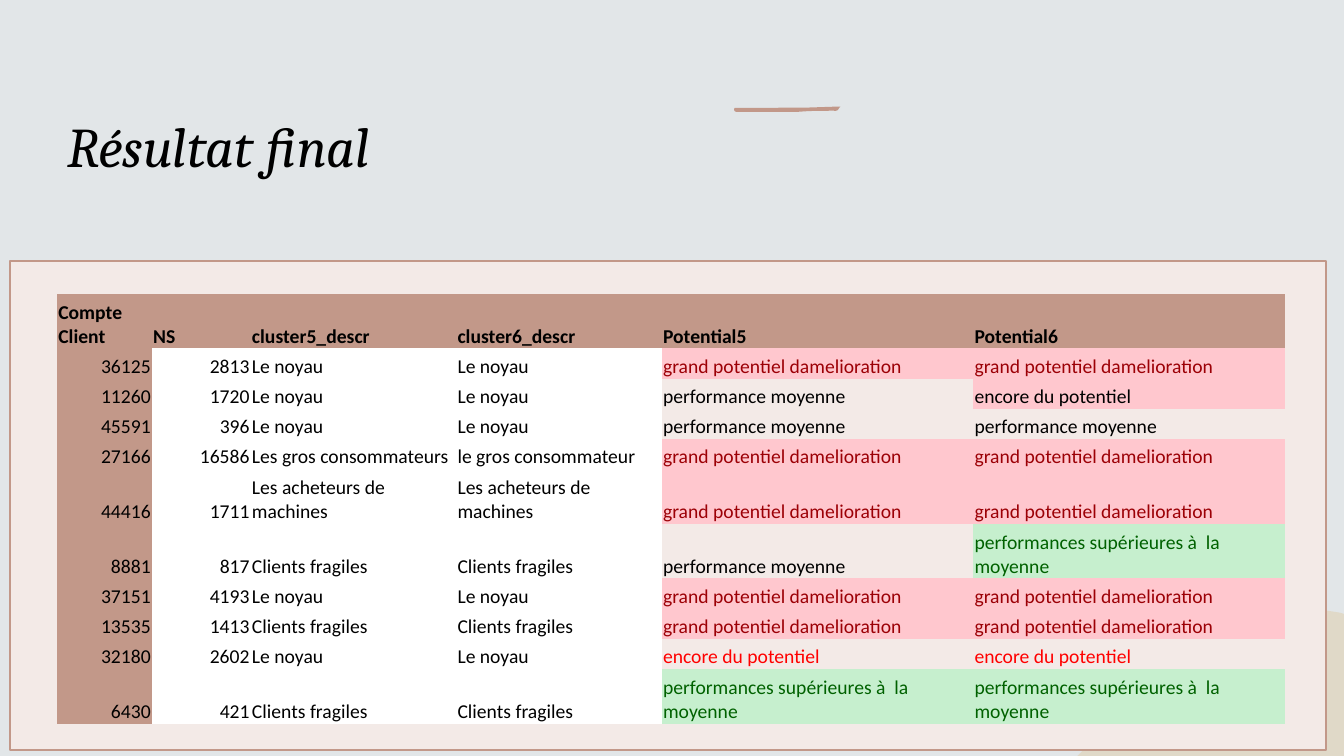
import pptx
import pptx.dml.color
import pptx.enum.shapes
import pptx.enum.text
import pptx.util

Cm = pptx.util.Cm
Pt = pptx.util.Pt
ALIGN = pptx.enum.text.PP_ALIGN
ANCHOR = pptx.enum.text.MSO_ANCHOR

COLOURS = {
    "background": "E2E6E8", "accent": "C29889", "panel": "F3EAE7", "sand": "E0D9C8",
    "black": "000000", "white": "FFFFFF", "red": "FF0000",
    "pink": "FFC7CE", "dark red": "9C0006", "mint": "C6EFCE", "dark green": "006100",
}
NO_GRID_STYLE = "{2D5ABB26-0587-4C30-8999-92F81FD0307C}"

HEADERS = ["Compte Client", "NS", "cluster5_descr", "cluster6_descr", "Potential5", "Potential6"]
CORE, FRAGILE, BUYERS = "Le noyau", "Clients fragiles", "Les acheteurs de machines"
LARGE, AVERAGE, SOME = "grand potentiel damelioration", "performance moyenne", "encore du potentiel"
ABOVE = "performances supérieures à  la moyenne"
CLIENTS = [
    ["36125", "2813", CORE, CORE, LARGE, LARGE],
    ["11260", "1720", CORE, CORE, AVERAGE, SOME],
    ["45591", "396", CORE, CORE, AVERAGE, AVERAGE],
    ["27166", "16586", "Les gros consommateurs", "le gros consommateur", LARGE, LARGE],
    ["44416", "1711", BUYERS, BUYERS, LARGE, LARGE],
    ["8881", "817", FRAGILE, FRAGILE, AVERAGE, ABOVE],
    ["37151", "4193", CORE, CORE, LARGE, LARGE],
    ["13535", "1413", FRAGILE, FRAGILE, LARGE, LARGE],
    ["32180", "2602", CORE, CORE, SOME, SOME],
    ["6430", "421", FRAGILE, FRAGILE, ABOVE, ABOVE],
]
# Fill and text colour of each potential; None leaves the panel visible
POTENTIAL_STYLES = {
    LARGE: ("pink", "dark red"), AVERAGE: (None, "black"),
    SOME: (None, "red"), ABOVE: ("mint", "dark green"),
}
SPECIAL_STYLES = {(2, 5): ("pink", "black")}
COLUMN_WIDTHS = [2.39, 2.49, 5.18, 5.18, 7.85, 7.85]
TALL_ROWS, TALL, SHORT = {0, 5, 6, 10}, 1.38, 0.76

# One point is a straight side, three points are a Bézier curve; cm from the box corner
BLOB = [
    [(5.63, 0)], [(5.93, 0.02), (6.26, 0.06), (6.62, 0.12)], [(6.72, 0.15)],
    [(6.72, 3.73)], [(0, 3.73)], [(0.03, 3.7)],
    [(0.91, 2.87), (1.8, 2.05), (2.59, 1.29)],
    [(3.16, 0.73), (3.72, 0.4), (4.3, 0.2)], [(4.74, 0.05), (5.17, 0), (5.63, 0)],
]
BRUSH_STROKE = [
    [(0.03, 0.03)], [(0.76, 0.03)], [(1.91, 0.02)], [(2.51, 0)], [(2.69, 0)],
    [(2.62, 0.05), (2.66, 0.12), (2.51, 0.1)], [(1.9, 0.11)], [(1.6, 0.13)], [(0.08, 0.13)],
    [(0, 0.13), (0, 0.05), (0.03, 0.03)],
]


def colour(name):
    return pptx.dml.color.RGBColor.from_string(COLOURS[name])


def paint(fill, name):
    if name is None:
        fill.background()
    else:
        fill.solid()
        fill.fore_color.rgb = colour(name)


def write_text(text_frame, text, *, font, size, color="black", bold=False, italic=False,
               align=ALIGN.LEFT):
    text_frame.word_wrap = True
    paragraph = text_frame.paragraphs[0]
    paragraph.text = text
    paragraph.alignment = align
    paragraph.font.name = font
    paragraph.font.size = Pt(size)
    paragraph.font.bold = bold
    paragraph.font.italic = italic
    paragraph.font.color.rgb = colour(color)


def flatten(outline, steps=12):
    """Turn straight sides and Bézier curves into a list of points."""
    points = []
    for segment in outline:
        if len(segment) == 1:
            points += segment
            continue
        corners = [points[-1], *segment]
        for step in range(1, steps + 1):
            t = step / steps
            weights = [(1 - t) ** 3, 3 * t * (1 - t) ** 2, 3 * t * t * (1 - t), t ** 3]
            points.append(tuple(sum(weight * corner[axis] for weight, corner in zip(weights, corners))
                                for axis in (0, 1)))
    return points


def add_outline(slide, left, top, outline, fill):
    points = [(Cm(left + x), Cm(top + y)) for x, y in flatten(outline)]
    builder = slide.shapes.build_freeform(*points[0])
    builder.add_line_segments(points[1:], close=True)
    shape = builder.convert_to_shape()
    shape.shadow.inherit = False
    paint(shape.fill, fill)
    shape.line.fill.background()


def place_title(slide, left, top, width, height):
    title = slide.shapes.title
    title.left, title.top, title.width, title.height = map(Cm, (left, top, width, height))
    title.text_frame.vertical_anchor = ANCHOR.TOP
    write_text(title.text_frame, "Résultat final", font="Cambria", size=40, italic=True)


def cell_style(row, column, text):
    """Return the fill and text colour of a table cell."""
    if row == 0 or column == 0:
        return "accent", "black"
    if column < 4:
        return "white", "black"
    return SPECIAL_STYLES.get((row, column), POTENTIAL_STYLES[text])


def add_client_table(slide, left, top):
    rows = [HEADERS, *CLIENTS]
    heights = [TALL if row in TALL_ROWS else SHORT for row in range(len(rows))]
    frame = slide.shapes.add_table(len(rows), len(HEADERS), Cm(left), Cm(top),
                                   Cm(sum(COLUMN_WIDTHS)), Cm(sum(heights)))
    table = frame.table
    table.first_row = table.horz_banding = False
    table._tbl.tblPr.find(pptx.oxml.ns.qn("a:tableStyleId")).text = NO_GRID_STYLE
    for column, width in zip(table.columns, COLUMN_WIDTHS):
        column.width = Cm(width)
    for row, (height, texts) in enumerate(zip(heights, rows)):
        table.rows[row].height = Cm(height)
        for column, text in enumerate(texts):
            cell = table.cell(row, column)
            cell.margin_left = cell.margin_right = cell.margin_top = Cm(0.03)
            cell.margin_bottom = 0
            cell.vertical_anchor = ANCHOR.BOTTOM
            fill, text_color = cell_style(row, column, text)
            paint(cell.fill, fill)
            is_number = row > 0 and column < 2
            write_text(cell.text_frame, text, font="Calibri", size=14, color=text_color,
                       bold=row == 0, align=ALIGN.RIGHT if is_number else ALIGN.LEFT)


def add_result_panel(slide, left, top, width, height):
    panel = slide.shapes.add_shape(pptx.enum.shapes.MSO_SHAPE.RECTANGLE,
                                   *map(Cm, (left, top, width, height)))
    panel.shadow.inherit = False
    paint(panel.fill, "panel")
    panel.line.color.rgb = colour("accent")
    panel.line.width = Pt(1)
    add_client_table(slide, left + 1.19, top + 0.82)


def main():
    presentation = pptx.Presentation()
    presentation.slide_width, presentation.slide_height = Cm(33.87), Cm(19.05)
    slide = presentation.slides.add_slide(presentation.slide_layouts[5])
    paint(slide.background.fill, "background")
    place_title(slide, 1.45, 2.69, 15.49, 4.39)
    add_outline(slide, 18.49, 2.69, BRUSH_STROKE, "accent")
    add_outline(slide, 27.15, 15.32, BLOB, "sand")
    add_result_panel(slide, 0.25, 6.58, 33.17, 12.32)
    presentation.save("out.pptx")


if __name__ == "__main__":
    main()
